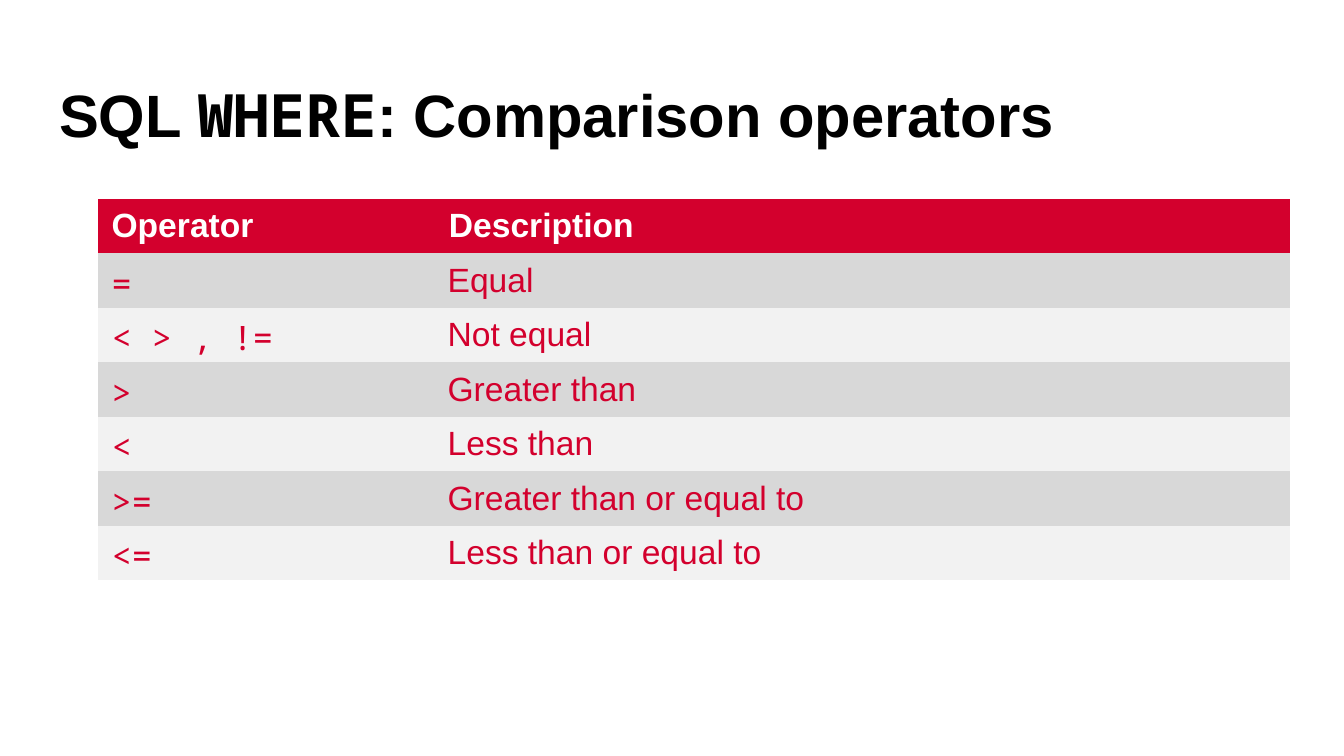
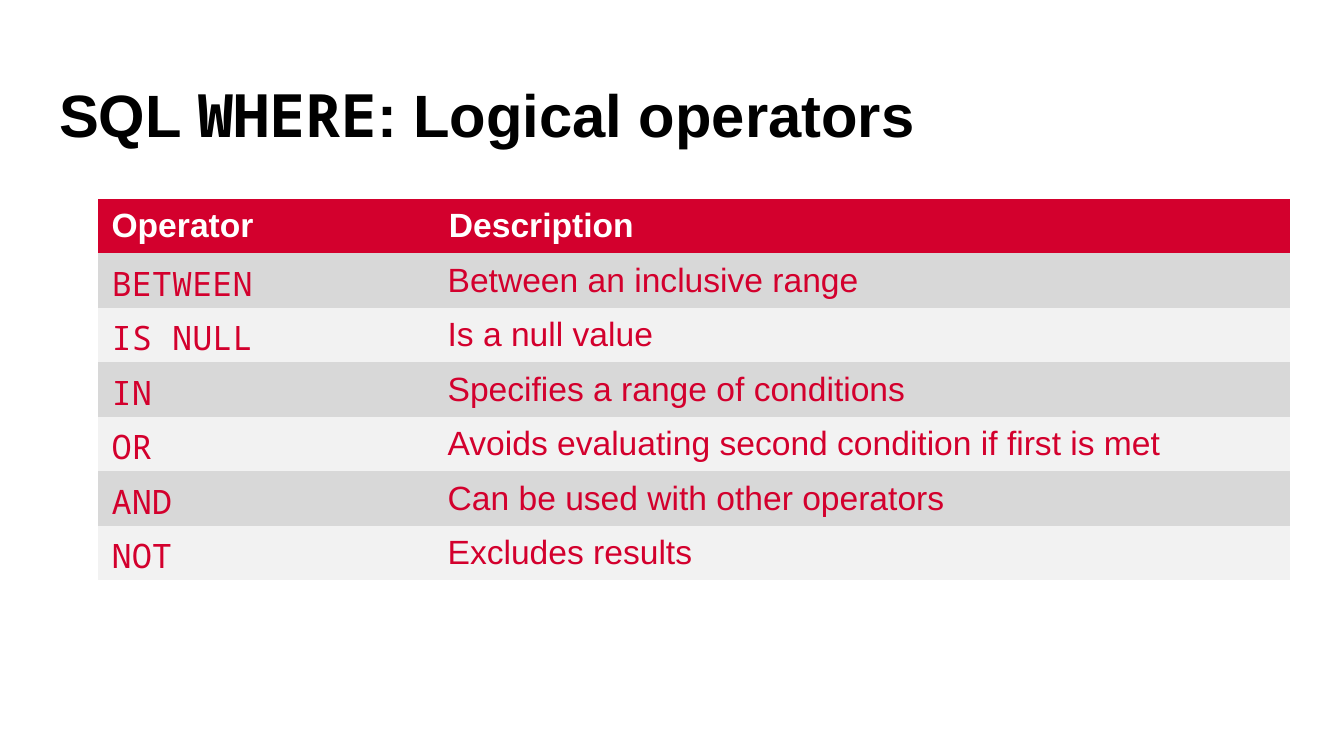
from lxml.etree import SubElement
from pptx import Presentation
from pptx.dml.color import RGBColor
from pptx.enum.text import MSO_ANCHOR
from pptx.oxml.ns import qn
from pptx.util import Pt

# Content
HEADER = ("Operator", "Description")
SLIDES = [
    ("Comparison operators", [
        ("=", "Equal"),
        ("< > , !=", "Not equal"),
        (">", "Greater than"),
        ("<", "Less than"),
        (">=", "Greater than or equal to"),
        ("<=", "Less than or equal to"),
    ]),
    ("Logical operators", [
        ("BETWEEN", "Between an inclusive range"),
        ("IS NULL", "Is a null value"),
        ("IN", "Specifies a range of conditions"),
        ("OR", "Avoids evaluating second condition if first is met"),
        ("AND", "Can be used with other operators"),
        ("NOT", "Excludes results"),
    ]),
]

# Shared style
BLACK = RGBColor(0x00, 0x00, 0x00)
WHITE = RGBColor(0xFF, 0xFF, 0xFF)
RED = RGBColor(0xD3, 0x00, 0x2D)
BANDS = (RGBColor(0xD8, 0xD8, 0xD8), RGBColor(0xF2, 0xF2, 0xF2))
BODY_FONT, CODE_FONT = "Arial", "Noto Sans Mono"
TITLE_SIZE, TABLE_SIZE = 32, 18
PLAIN_TABLE = "{2D5ABB26-0587-4C30-8999-92F81FD0307C}"

# Layout in points
TITLE_BOX = (31.7, 27.4, 645.1, 53.3)
TABLE_LEFT, TABLE_TOP = 52.6, 106.6
COLUMNS = (180, 458.6)
ROW_HEIGHT = 29.2
HEADER_TAB = 180.7


def add_span(para, text, font, size, color, bold=False):
    span = para.add_run()
    span.text = text
    span.font.name = font
    span.font.size = Pt(size)
    span.font.color.rgb = color
    span.font.bold = bold


def add_title(page, topic):
    box = page.shapes.add_textbox(*map(Pt, TITLE_BOX))
    frame = box.text_frame
    frame.word_wrap = True
    frame.vertical_anchor = MSO_ANCHOR.BOTTOM
    frame.margin_left = frame.margin_right = Pt(0)
    frame.margin_top = frame.margin_bottom = Pt(0)
    para = frame.paragraphs[0]
    para.line_spacing = 0.9
    for text, font in (("SQL ", BODY_FONT), ("WHERE", CODE_FONT),
                       (f": {topic}", BODY_FONT)):
        add_span(para, text, font, TITLE_SIZE, BLACK, bold=True)


def style_cell(cell, fill):
    cell.fill.solid()
    cell.fill.fore_color.rgb = fill
    cell.vertical_anchor = MSO_ANCHOR.MIDDLE
    cell.margin_left = cell.margin_right = Pt(7.2)
    cell.margin_top = cell.margin_bottom = Pt(3.6)
    return cell.text_frame.paragraphs[0]


def add_header(table):
    table.cell(0, 0).merge(table.cell(0, 1))
    para = style_cell(table.cell(0, 0), RED)
    # The tab stop lines the second heading up with its column
    tabs = SubElement(para._p.get_or_add_pPr(), qn("a:tabLst"))
    SubElement(tabs, qn("a:tab"), pos=str(Pt(HEADER_TAB)), algn="l")
    add_span(para, "\t".join(HEADER), BODY_FONT, TABLE_SIZE, WHITE, bold=True)


def add_operator_table(page, operators):
    count = len(operators) + 1
    table = page.shapes.add_table(
        count, len(COLUMNS), Pt(TABLE_LEFT), Pt(TABLE_TOP),
        Pt(sum(COLUMNS)), Pt(count * ROW_HEIGHT)).table
    table._tbl.tblPr.find(qn("a:tableStyleId")).text = PLAIN_TABLE
    table.horz_banding = False
    for column, width in zip(table.columns, COLUMNS):
        column.width = Pt(width)
    for row in table.rows:
        row.height = Pt(ROW_HEIGHT)

    add_header(table)
    for index, texts in enumerate(operators):
        for column, (text, font) in enumerate(zip(texts, (CODE_FONT, BODY_FONT))):
            para = style_cell(table.cell(index + 1, column), BANDS[index % 2])
            add_span(para, text, font, TABLE_SIZE, RED)


def main():
    deck = Presentation()
    deck.slide_width, deck.slide_height = Pt(720), Pt(405)
    for topic, operators in SLIDES:
        page = deck.slides.add_slide(deck.slide_layouts[6])
        add_title(page, topic)
        add_operator_table(page, operators)
    deck.save("out.pptx")


if __name__ == "__main__":
    main()
